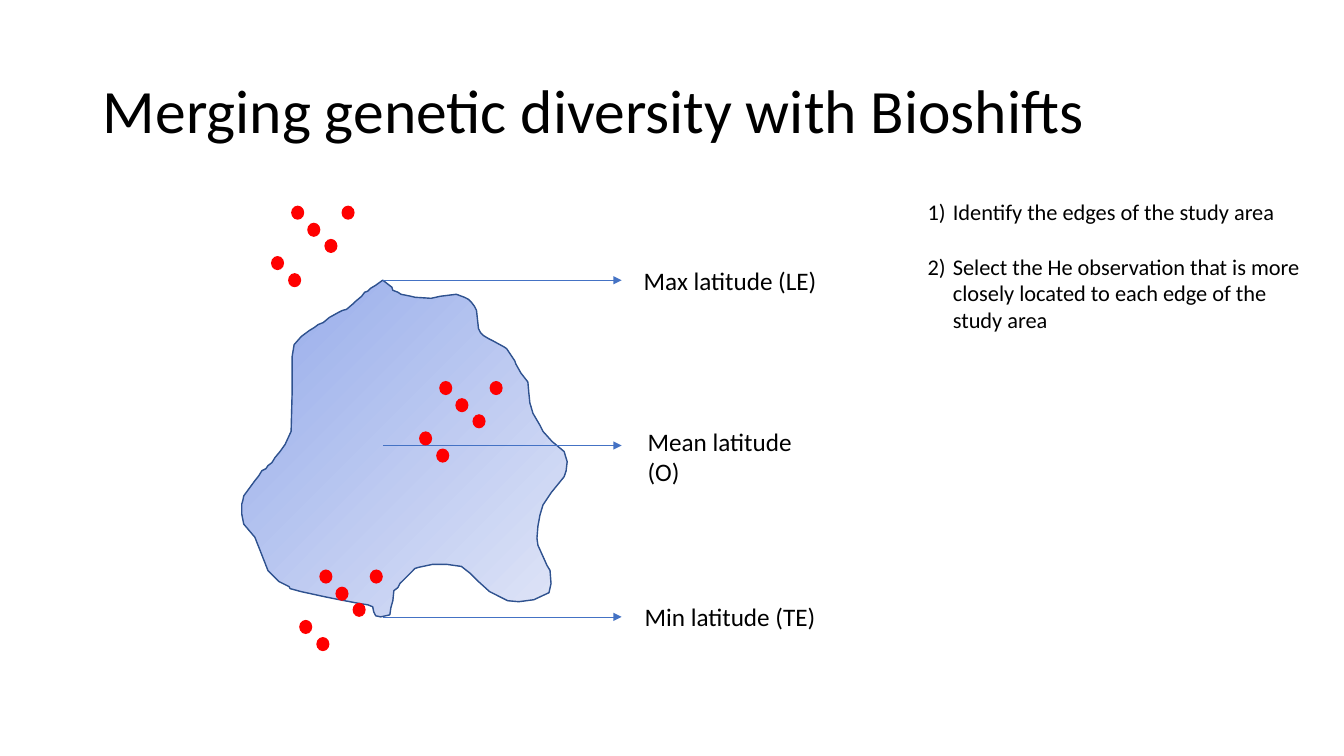
from lxml.etree import SubElement
from pptx import Presentation
from pptx.dml.color import RGBColor
from pptx.enum.shapes import MSO_CONNECTOR, MSO_SHAPE
from pptx.enum.text import MSO_ANCHOR as ANCHOR, MSO_AUTO_SIZE as AUTO_SIZE, PP_ALIGN as ALIGN
from pptx.oxml.ns import qn
from pptx.util import Pt

EMU_PER_PX = 9144  # 100 px to the inch
FONT = "Calibri"
COLORS = {
    "text": "000000", "dot": "FF0000", "arrow": "4472C4", "outline": "2F528F",
    "area_dark": "95ABEA", "area_light": "E0E5F7",
}

# Study area outline, relative to its box
AREA_OUTLINE = [
    (111, 23), (104, 29), (100, 30), (96, 32), (87, 37), (81, 42), (76, 44),
    (72, 47), (67, 50), (59, 56), (52, 64), (50, 76), (50, 113), (49, 150),
    (43, 163), (38, 170), (33, 176), (30, 181), (26, 184), (24, 187), (20, 189),
    (17, 194), (13, 199), (2, 214), (1, 219), (0, 222), (0, 232), (2, 242),
    (13, 255), (17, 265), (26, 288), (37, 299), (47, 304), (48, 306), (59, 309),
    (73, 312), (82, 314), (97, 317), (118, 321), (125, 322), (130, 324),
    (131, 329), (133, 333), (138, 334), (147, 332), (148, 325), (150, 318),
    (151, 308), (155, 305), (157, 301), (161, 297), (168, 290), (172, 286),
    (175, 285), (189, 282), (204, 282), (218, 284), (227, 291), (235, 299),
    (246, 309), (258, 315), (264, 318), (275, 319), (290, 317), (305, 310),
    (307, 301), (306, 288), (303, 283), (294, 263), (293, 256), (294, 244),
    (296, 233), (299, 223), (307, 211), (320, 195), (322, 189), (323, 180),
    (320, 170), (308, 160), (299, 150), (296, 144), (289, 132), (287, 125),
    (286, 122), (285, 112), (284, 101), (277, 92), (272, 83), (271, 80),
    (263, 68), (260, 66), (249, 60), (245, 58), (240, 55), (237, 52), (235, 48),
    (234, 39), (233, 30), (231, 26), (228, 22), (225, 19), (221, 17), (213, 14),
    (197, 16), (188, 18), (172, 17), (168, 16), (158, 14), (155, 12), (150, 10),
    (149, 7), (140, 0), (133, 5), (128, 8), (125, 11), (122, 12), (119, 16),
    (113, 21),
]
DOT_OFFSETS = [(20, 0), (36, 17), (53, 33), (0, 50), (17, 67), (70, 0)]
DOT_CLUSTERS = [(297, 565), (269, 204), (416, 378)]
# Arrow height, label text, label box
LATITUDES = [
    (278, "Max latitude (LE)", (629, 258, 192, 40)),
    (612, "Min latitude (TE)", (630, 592, 190, 40)),
    (442, "Mean latitude (O)", (633, 418, 200, 40)),
]
STEPS = [
    "Identify the edges of the study area",
    "Select the He observation that is more closely located to each edge of the study area",
]


def px(*lengths):
    return [length * EMU_PER_PX for length in lengths]


def color(name):
    return RGBColor.from_string(COLORS[name])


def set_attributes(target, values):
    for name, value in values.items():
        setattr(target, name, value)


def write(para, text, size):
    span = para.add_run()
    span.text = text
    set_attributes(span.font, {"size": Pt(size), "name": FONT})
    span.font.color.rgb = color("text")


def add_title(page, box, text):
    title = page.shapes.title
    set_attributes(title, dict(zip(("left", "top", "width", "height"), px(*box))))
    frame = title.text_frame
    set_attributes(frame, {"vertical_anchor": ANCHOR.MIDDLE, "auto_size": AUTO_SIZE.NONE})
    para = frame.paragraphs[0]
    set_attributes(para, {"alignment": ALIGN.LEFT, "line_spacing": 0.9})
    write(para, text, 44)


def add_study_area(page, box):
    left, top = box
    points = [(left + x, top + y) for x, y in AREA_OUTLINE]
    builder = page.shapes.build_freeform(*points[0], scale=EMU_PER_PX)
    builder.add_line_segments(points[1:], close=True)
    area = builder.convert_to_shape()
    area.shadow.inherit = False
    area.fill.gradient()
    area.fill.gradient_angle = 315
    for stop, position, name in zip(area.fill.gradient_stops, (0, 1), ("area_dark", "area_light")):
        stop.position = position
        stop.color.rgb = color(name)
    area.line.color.rgb = color("outline")
    area.line.width = Pt(1)


def add_arrow(page, left, right, y):
    arrow = page.shapes.add_connector(MSO_CONNECTOR.STRAIGHT, *px(left, y, right, y))
    arrow.line.color.rgb = color("arrow")
    arrow.line.width = Pt(0.5)
    SubElement(arrow.line._get_or_add_ln(), qn("a:tailEnd"), type="triangle")
    SubElement(arrow._element.spPr, qn("a:effectLst"))


def add_label(page, box, text):
    frame = page.shapes.add_textbox(*px(*box)).text_frame
    frame.word_wrap = False
    write(frame.paragraphs[0], text, 18)


def add_dot_cluster(page, box):
    left, top = box
    cluster = page.shapes.add_group_shape()
    for x, y in DOT_OFFSETS:
        dot = cluster.shapes.add_shape(MSO_SHAPE.OVAL, *px(left + x, top + y, 13, 14))
        dot.shadow.inherit = False
        dot.fill.solid()
        dot.fill.fore_color.rgb = color("dot")
        dot.line.fill.background()


def add_steps(page, box):
    frame = page.shapes.add_textbox(*px(*box)).text_frame
    frame.word_wrap = True
    indent = px(25)[0]
    for index, step in enumerate(STEPS):
        para = frame.add_paragraph() if index else frame.paragraphs[0]
        para.space_before = Pt(19.5 if index else 0)
        write(para, step, 16)
        # Hanging number
        properties = para._p.get_or_add_pPr()
        properties.set("marL", str(indent))
        properties.set("indent", str(-indent))
        SubElement(properties, qn("a:buFont"), typeface=FONT)
        SubElement(properties, qn("a:buAutoNum"), type="arabicParenR")


def main():
    deck = Presentation()
    deck.slide_width, deck.slide_height = px(1334, 750)
    page = deck.slides.add_slide(deck.slide_layouts[5])

    add_title(page, (92, 40, 1150, 145), "Merging genetic diversity with Bioshifts")
    # Map with its latitudes
    add_study_area(page, (240, 278))
    for y, text, label_box in LATITUDES:
        add_arrow(page, 380, 617, y)
        add_label(page, label_box, text)
    # Genetic observations
    for cluster_box in DOT_CLUSTERS:
        add_dot_cluster(page, cluster_box)
    add_steps(page, (911, 192, 394, 171))

    deck.save("out.pptx")


if __name__ == "__main__":
    main()
